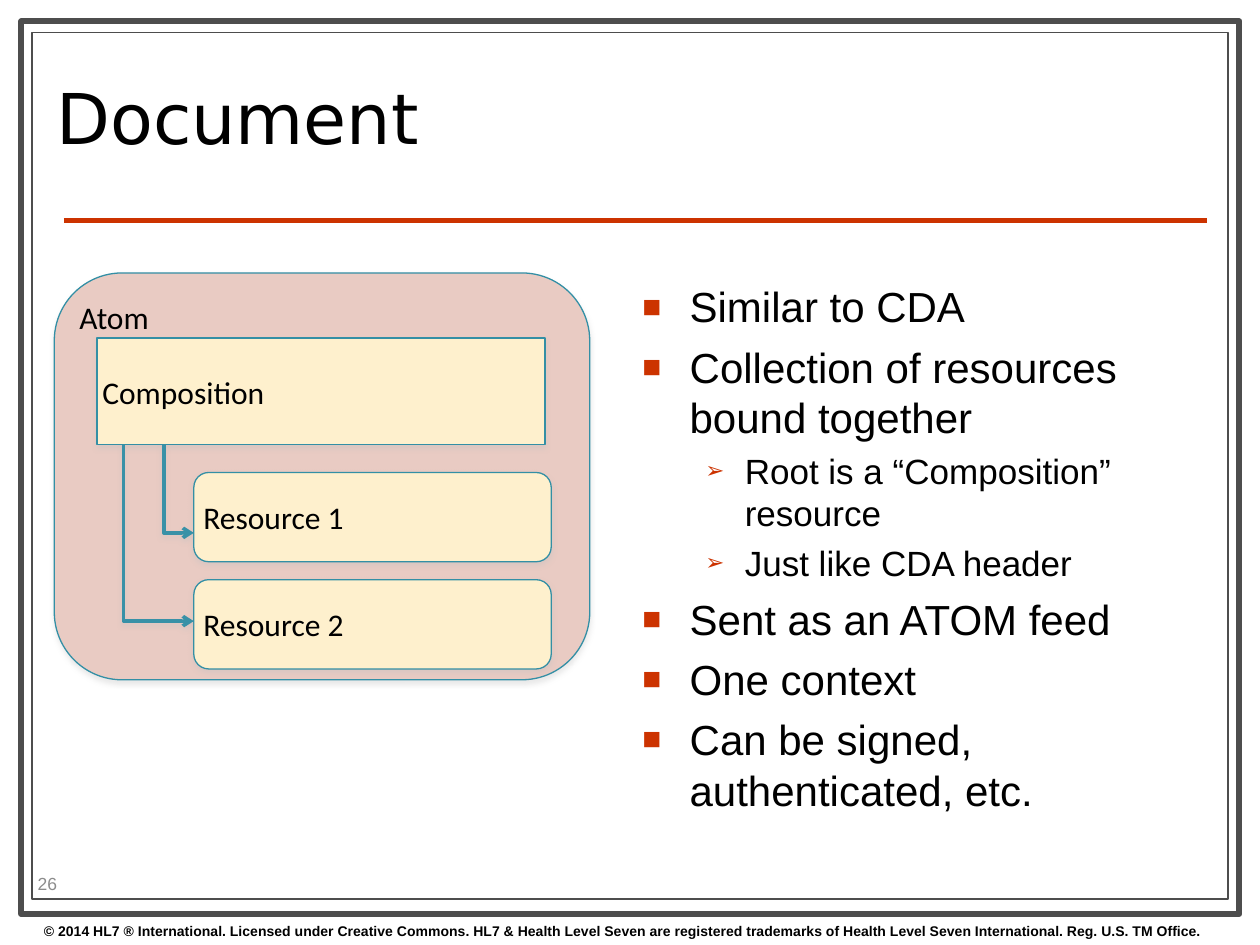
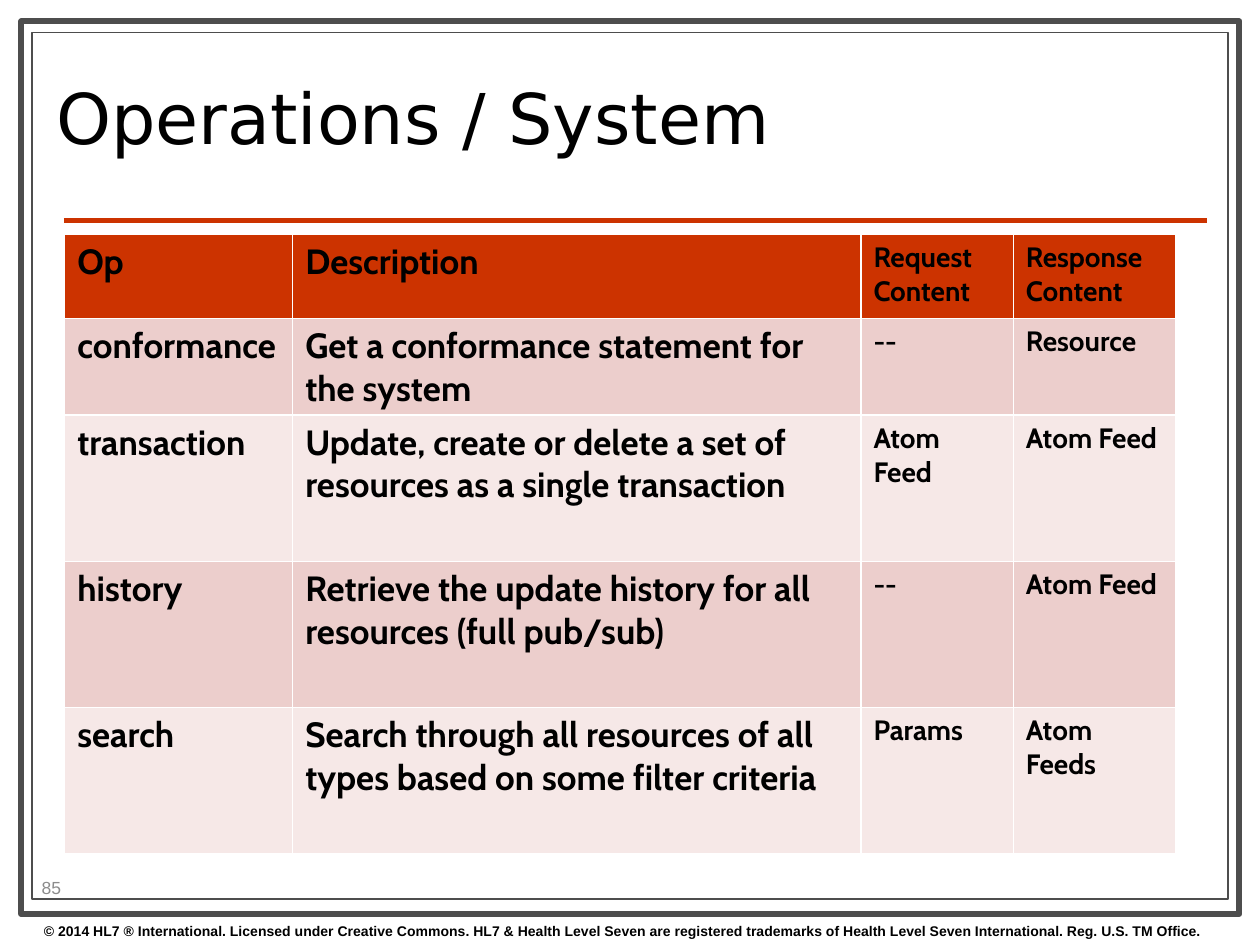
from lxml import etree
from pptx import Presentation
from pptx.dml.color import RGBColor
from pptx.enum.shapes import MSO_CONNECTOR, MSO_SHAPE
from pptx.enum.text import MSO_ANCHOR, PP_ALIGN
from pptx.oxml.ns import qn
from pptx.util import Pt

RECTANGLE = MSO_SHAPE.RECTANGLE
ROUNDED = MSO_SHAPE.ROUNDED_RECTANGLE
ELLIPSE = MSO_SHAPE.OVAL
STRAIGHT = MSO_CONNECTOR.STRAIGHT
TOP, MIDDLE = MSO_ANCHOR.TOP, MSO_ANCHOR.MIDDLE
LEFT = PP_ALIGN.LEFT

# Content
COPYRIGHT = (
    "© 2014 HL7 ® International. Licensed under Creative Commons. "
    "HL7 & Health Level Seven are registered trademarks of "
    "Health Level Seven International. Reg. U.S. TM Office."
)
DOCUMENT_POINTS = [
    (0, "Similar to CDA"),
    (0, "Collection of resources bound together"),
    (1, "Root is a “Composition” resource"),
    (1, "Just like CDA header"),
    (0, "Sent as an ATOM feed"),
    (0, "One context"),
    (0, "Can be signed, authenticated, etc."),
]
RESOURCES = ["Resource 1", "Resource 2"]
OPERATIONS = [
    ("Op", "Description", "Request Content", "Response Content"),
    ("conformance", "Get a conformance statement for the system", "--", "Resource"),
    ("transaction", "Update, create or delete a set of resources as a single transaction",
     "Atom Feed", "Atom Feed"),
    ("history", "Retrieve the update history for all resources (full pub/sub)",
     "--", "Atom Feed"),
    ("search", "Search through all resources of all types based on some filter criteria",
     "Params", "Atom Feeds"),
]

# Shared look
BLACK, WHITE, GREY, FRAME = "000000", "FFFFFF", "8C8C8C", "4D4D4D"
RED, TEAL, ARROW_TEAL, SHADOW = "CC3300", "338FA5", "3891A7", "C0C0C0"
ROSE, CREAM = "E9CBC3", "FEF0CD"
ROW_FILLS = ["ECCECC", "F6E8E7"]
COLUMN_WIDTHS = [130.3, 324.7, 87.1, 92.9]
COLUMN_SIZES = [20, 20, 16, 16]
ROW_HEIGHTS = [48, 53.5, 83.5, 83.5, 83.5]
LEVELS = [  # margin, hanging indent, bullet, bullet percent, size, space before
    (27, 27, "■", 75, 24, 5.5),
    (58.5, 22.5, "➢", 65, 20, 4.6),
]


def color(value):
    return RGBColor.from_string(value)


def add_xml(parent, tag, **attributes):
    return etree.SubElement(parent, qn(tag), attributes)


def style_text(paragraph, size, font, fill=BLACK, bold=False):
    paragraph.alignment = LEFT
    for span in paragraph.runs:
        span.font.size = Pt(size)
        span.font.name = font
        span.font.bold = bold
        span.font.color.rgb = color(fill)


def add_text(page, area, text, size, font, anchor=TOP, fill=BLACK, bold=False):
    box = page.shapes.add_textbox(*map(Pt, area))
    frame = box.text_frame
    frame.word_wrap = True
    frame.vertical_anchor = anchor
    frame.text = text
    style_text(frame.paragraphs[0], size, font, fill, bold)
    return frame


def add_panel(page, kind, area, fill, line, width):
    panel = page.shapes.add_shape(kind, *map(Pt, area))
    panel.shadow.inherit = False
    panel.fill.solid()
    panel.fill.fore_color.rgb = color(fill)
    panel.line.color.rgb = color(line)
    panel.line.width = Pt(width)
    return panel


def add_shadow(shape, opacity):
    shape.shadow.inherit = False
    effects = shape._element.spPr.find(qn("a:effectLst"))
    shadow = add_xml(effects, "a:outerShdw", blurRad=str(Pt(3)), dist=str(Pt(1.8)),
                     dir="5400000", rotWithShape="0")
    tint = add_xml(shadow, "a:srgbClr", val=SHADOW)
    add_xml(tint, "a:alpha", val=str(opacity * 1000))


def add_part(page, kind, area, text, fill, anchor=MIDDLE):
    part = add_panel(page, kind, area, fill, TEAL, 0.75)
    add_shadow(part, 35)
    frame = part.text_frame
    frame.margin_left = frame.margin_right = Pt(3)
    frame.margin_top = frame.margin_bottom = Pt(3)
    frame.word_wrap = True
    frame.vertical_anchor = anchor
    frame.text = text
    style_text(frame.paragraphs[0], 18, "Calibri")


def add_elbow(page, start_x, start_y, end_x, end_y):
    builder = page.shapes.build_freeform(Pt(start_x), Pt(start_y))
    corners = [(Pt(start_x), Pt(end_y)), (Pt(end_x), Pt(end_y))]
    builder.add_line_segments(corners, close=False)
    elbow = builder.convert_to_shape()
    elbow.fill.background()
    elbow.line.color.rgb = color(ARROW_TEAL)
    elbow.line.width = Pt(2)
    add_xml(elbow.line._get_or_add_ln(), "a:tailEnd", type="arrow")
    add_shadow(elbow, 38)


def add_page(deck, title):
    page = deck.slides.add_slide(deck.slide_layouts[6])
    # Double frame, rule, copyright line and title
    add_panel(page, RECTANGLE, (12.25, 12.25, 696, 510), WHITE, FRAME, 3.5)
    add_panel(page, RECTANGLE, (18.25, 18.75, 683.5, 495), WHITE, FRAME, 0.75)
    rule = page.shapes.add_connector(STRAIGHT, Pt(36.5), Pt(126), Pt(690), Pt(126))
    rule.line.color.rgb = color(RED)
    rule.line.width = Pt(3)
    add_xml(rule._element.spPr, "a:effectLst")
    add_text(page, (18, 523.5, 702, 16.5), COPYRIGHT, 8, "Arial", bold=True)
    frame = add_text(page, (25.2, 26, 516, 90.5), title, 40, "DejaVu Sans", MIDDLE)
    frame.paragraphs[0].line_spacing = 0.8
    return page


def add_bullets(page, area, points):
    frame = add_text(page, area, "", 24, "Arial")
    for index, (level, text) in enumerate(points):
        margin, hanging, mark, percent, size, space = LEVELS[level]
        para = frame.add_paragraph() if index else frame.paragraphs[0]
        para.text = text
        para.level = level
        properties = para._p.get_or_add_pPr()
        properties.set("marL", str(Pt(margin)))
        properties.set("indent", str(-Pt(hanging)))
        add_xml(add_xml(properties, "a:buClr"), "a:srgbClr", val=RED)
        add_xml(properties, "a:buSzPct", val=str(percent * 1000))
        add_xml(properties, "a:buFont", typeface="Arial")
        add_xml(properties, "a:buChar", char=mark)
        if index:
            para.space_before = Pt(space)
        style_text(para, size, "Arial")


def style_cell(cell, fill, size):
    properties = cell._tc.get_or_add_tcPr()
    for side in "LRTB":
        border = add_xml(properties, f"a:ln{side}", w=str(Pt(1)))
        add_xml(add_xml(border, "a:solidFill"), "a:srgbClr", val=WHITE)
    cell.fill.solid()
    cell.fill.fore_color.rgb = color(fill)
    style_text(cell.text_frame.paragraphs[0], size, "Cabin", bold=True)


def build_document_page(deck):
    page = add_page(deck, "Document")
    add_text(page, (14.4, 496, 57, 17.5), "26", 10, "Arial", MIDDLE, GREY)

    # Nested feed diagram
    add_part(page, ROUNDED, (31, 156, 306, 232.5), "Atom", ROSE, TOP)
    resource_left, resource_top, step = 110.75, 270, 61.25
    for index, name in enumerate(RESOURCES):
        add_part(page, ROUNDED, (resource_left, resource_top + index * step, 204.25, 51),
                 name, CREAM)
    add_part(page, RECTANGLE, (55.5, 193.25, 256, 61), "Composition", CREAM)
    for start_x, end_y in [(93.6, 304.5), (70.6, 355)]:
        add_elbow(page, start_x, 254.25, resource_left, end_y)

    add_bullets(page, (360, 157, 306, 323), DOCUMENT_POINTS)


def build_operations_page(deck):
    page = add_page(deck, "Operations / System")

    # Operations table
    area = (37, 134, sum(COLUMN_WIDTHS), sum(ROW_HEIGHTS))
    table = page.shapes.add_table(len(OPERATIONS), len(COLUMN_WIDTHS), *map(Pt, area)).table
    for column, width in zip(table.columns, COLUMN_WIDTHS):
        column.width = Pt(width)
    for row_index, values in enumerate(OPERATIONS):
        table.rows[row_index].height = Pt(ROW_HEIGHTS[row_index])
        fill = ROW_FILLS[(row_index - 1) % 2] if row_index else RED
        for column_index, value in enumerate(values):
            cell = table.cell(row_index, column_index)
            cell.text = value
            style_cell(cell, fill, COLUMN_SIZES[column_index])

    # Page number in an unfilled circle
    badge = page.shapes.add_shape(ELLIPSE, Pt(11.5), Pt(489), Pt(36), Pt(36))
    badge.shadow.inherit = False
    badge.fill.background()
    badge.line.fill.background()
    frame = badge.text_frame
    frame.word_wrap = False
    frame.vertical_anchor = MIDDLE
    frame.text = "85"
    style_text(frame.paragraphs[0], 10, "Arial", GREY)


def main():
    deck = Presentation()
    deck.slide_width, deck.slide_height = Pt(720), Pt(540)
    build_document_page(deck)
    build_operations_page(deck)
    deck.save("out.pptx")


if __name__ == "__main__":
    main()
